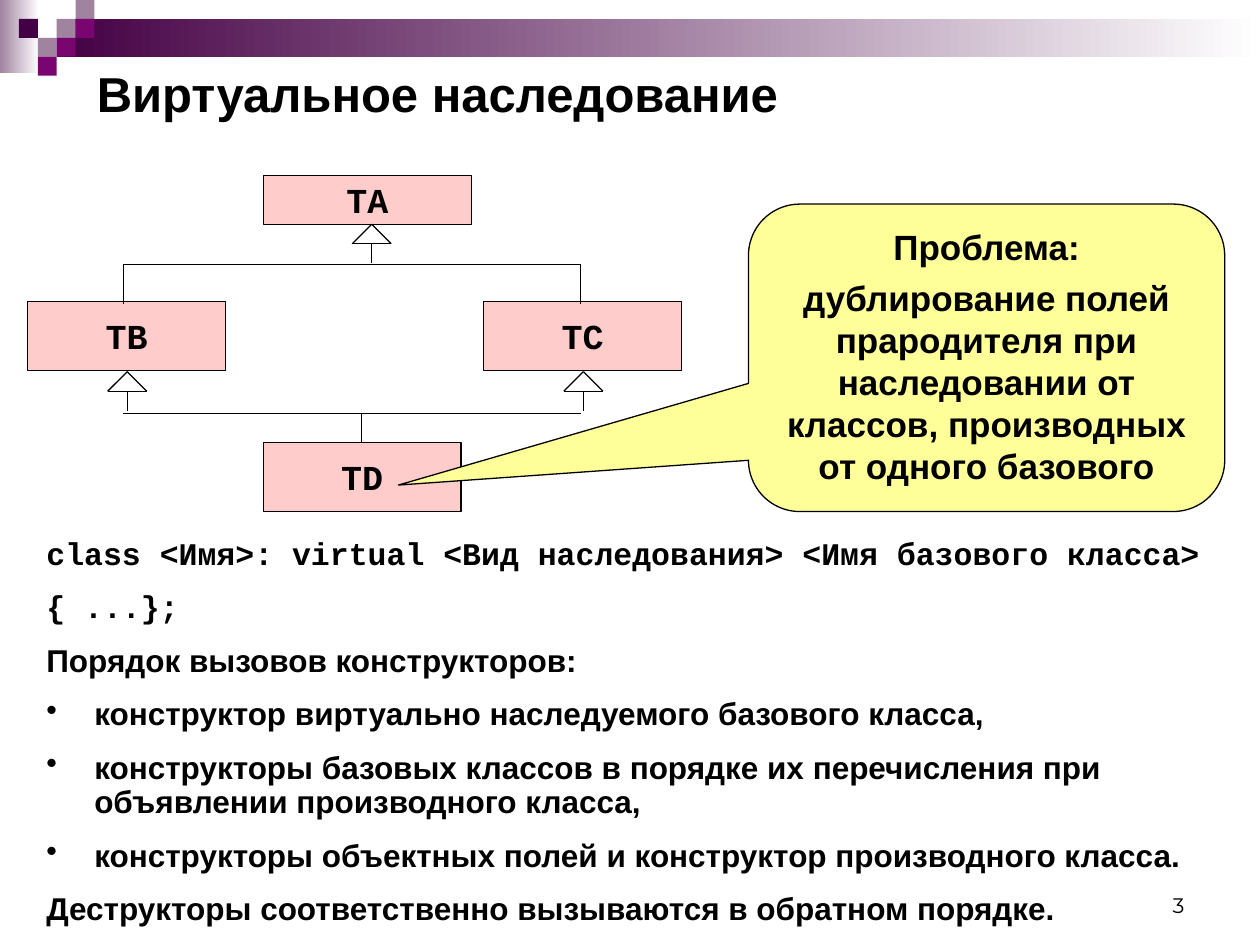
import pptx
import pptx.util
import pptx.dml.color
import pptx.enum.shapes
import pptx.enum.text
import pptx.oxml.ns
from lxml import etree

Inches, Pt = pptx.util.Inches, pptx.util.Pt
SHAPE = pptx.enum.shapes.MSO_SHAPE
ALIGN = pptx.enum.text.PP_ALIGN
ANCHOR = pptx.enum.text.MSO_ANCHOR
qn = pptx.oxml.ns.qn

COLORS = {
    "black": "000000", "white": "FFFFFF", "class": "FFCCCC", "callout": "FFFF99",
    "dark": "440044", "purple": "790571", "mauve": "9F839F",
}

# Content
TITLE = "Виртуальное наследование"
PAGE_NUMBER = "3"
CLASSES = {  # name: left, top, width, height
    "TA": (2.09, 1.39, 1.65, 0.39),
    "TB": (0.22, 2.39, 1.57, 0.55),
    "TC": (3.84, 2.39, 1.57, 0.55),
    "TD": (2.09, 3.51, 1.57, 0.55),
}
PROBLEM = [
    "Проблема:",
    "дублирование полей прародителя при наследовании от классов, "
    "производных от одного базового",
]
EXPLANATION = [  # text, font, bulleted
    ("class <Имя>: virtual <Вид наследования> <Имя базового класса>", "Courier New", False),
    ("{ ...};", "Courier New", False),
    ("Порядок вызовов конструкторов:", "Arial", False),
    ("конструктор виртуально наследуемого базового класса,", "Arial", True),
    ("конструкторы базовых классов в порядке их перечисления при "
     "объявлении производного класса,", "Arial", True),
    ("конструкторы объектных полей и конструктор производного класса.", "Arial", True),
    ("Деструкторы соответственно вызываются в обратном порядке.", "Arial", False),
]
BANDS = [  # place, gradient start colour
    ((0, 0, 0.31, 0.58), "mauve"),
    ((0.45, 0.15, 9.55, 0.3), "dark"),
]
SQUARE = 0.15
SQUARES = [  # column, row, colour
    (3, 1, "mauve"), (4, 0, "mauve"), (4, 1, "purple"), (2, 2, "mauve"),
    (1, 1, "dark"), (3, 2, "purple"), (2, 3, "purple"),
]

# Inheritance lines
ARROW = 0.155  # half the width of an arrowhead, its height and its stem
LEFT_X, RIGHT_X = 0.98, 4.61
UPPER_Y, LOWER_Y = 2.1, 3.28
ARROW_TIPS = [(2.95, 1.78), (1.01, 2.95), (4.63, 2.95)]
BRANCHES = [
    (LEFT_X, UPPER_Y, RIGHT_X, UPPER_Y),
    (LEFT_X, 2.41, LEFT_X, UPPER_Y),
    (RIGHT_X, 2.41, RIGHT_X, UPPER_Y),
    (2.87, 3.51, 2.87, LOWER_Y),
    (LEFT_X, LOWER_Y, RIGHT_X, LOWER_Y),
]

deck = pptx.Presentation()
deck.slide_width, deck.slide_height = Inches(10), Inches(7.5)
slide = deck.slides.add_slide(deck.slide_layouts[6])


def rgb(name):
    return pptx.dml.color.RGBColor.from_string(COLORS[name])


def apply(target, formats):
    for key, value in formats.items():
        setattr(target, key, value)


def add_figure(preset, place, color=None, outlined=False):
    figure = slide.shapes.add_shape(preset, *map(Inches, place))
    figure.shadow.inherit = False
    if color:
        figure.fill.solid()
        figure.fill.fore_color.rgb = rgb(color)
    if outlined:
        figure.line.color.rgb = rgb("black")
        figure.line.width = Pt(0.75)
    else:
        figure.line.fill.background()
    return figure


def add_line(x1, y1, x2, y2):
    line = slide.shapes.add_connector(
        pptx.enum.shapes.MSO_CONNECTOR.STRAIGHT, *map(Inches, (x1, y1, x2, y2)))
    line.line.color.rgb = rgb("black")
    line.line.width = Pt(0.75)
    etree.SubElement(line._element.spPr, qn("a:effectLst"))


def add_bullet(paragraph):
    properties = paragraph._p.get_or_add_pPr()
    color = etree.SubElement(properties, qn("a:buClr"))
    etree.SubElement(color, qn("a:srgbClr"), val=COLORS["black"])
    etree.SubElement(properties, qn("a:buChar"), char="•")


def write(paragraph, text, size, font="Arial", bold=True, **formats):
    paragraph.text = text
    apply(paragraph, formats)
    apply(paragraph.font, {"size": Pt(size), "name": font, "bold": bold})
    paragraph.font.color.rgb = rgb("black")


def paragraphs(frame, count):
    return [frame.paragraphs[0]] + [frame.add_paragraph() for _ in range(count - 1)]


def add_text_box(place, anchor=ANCHOR.TOP):
    frame = slide.shapes.add_textbox(*map(Inches, place)).text_frame
    apply(frame, {"word_wrap": True, "vertical_anchor": anchor})
    return frame


# Header decoration
for place, color in BANDS:
    band = add_figure(SHAPE.RECTANGLE, place)
    band.fill.gradient()
    band.fill.gradient_angle = 0
    for stop, name in zip(band.fill.gradient_stops, (color, "white")):
        stop.color.rgb = rgb(name)
for column, row, color in SQUARES:
    add_figure(SHAPE.RECTANGLE, (column * SQUARE, row * SQUARE, SQUARE, SQUARE), color)

# Page number and title
page = add_text_box((7.17, 6.83, 2.33, 0.5), ANCHOR.BOTTOM)
write(page.paragraphs[0], PAGE_NUMBER, 12, "Montserrat", False, alignment=ALIGN.RIGHT)
title = add_text_box((0.67, 0.44, 8.98, 0.6), ANCHOR.MIDDLE)
write(title.paragraphs[0], TITLE, 28)

# Syntax and order of calls
explanation = add_text_box((0.27, 4.22, 9.73, 3.2))
for index, paragraph in enumerate(paragraphs(explanation, len(EXPLANATION))):
    text, font, bulleted = EXPLANATION[index]
    indent = paragraph._p.get_or_add_pPr()
    indent.set("marL", str(Inches(0.38)))
    indent.set("indent", str(-Inches(0.38)))
    if bulleted:
        add_bullet(paragraph)
    write(paragraph, text, 18, font, line_spacing=0.9,
          space_before=Pt(11.2 if index else 0))

# Class diagram
for name, place in CLASSES.items():
    box = add_figure(SHAPE.RECTANGLE, place, "class", outlined=True)
    apply(box.text_frame, {"word_wrap": False, "vertical_anchor": ANCHOR.MIDDLE})
    write(box.text_frame.paragraphs[0], name, 20, "Courier New", alignment=ALIGN.CENTER)
for x, tip in ARROW_TIPS:
    base = tip + ARROW
    add_line(x, base + ARROW, x, base)
    add_line(x - ARROW, base, x + ARROW, base)
    for side in (-ARROW, ARROW):
        add_line(x, tip, x + side, base)
for branch in BRANCHES:
    add_line(*branch)

# Callout with the problem
callout = add_figure(SHAPE.ROUNDED_RECTANGULAR_CALLOUT, (5.94, 1.62, 3.78, 2.44),
                     "callout", outlined=True)
for index, value in enumerate((-1.235, 0.414, 0.167)):
    callout.adjustments[index] = value
apply(callout.text_frame, {"word_wrap": True, "vertical_anchor": ANCHOR.TOP})
for index, paragraph in enumerate(paragraphs(callout.text_frame, len(PROBLEM))):
    write(paragraph, PROBLEM[index], 20, alignment=ALIGN.CENTER,
          space_before=Pt(5 if index else 0))

deck.save("out.pptx")
